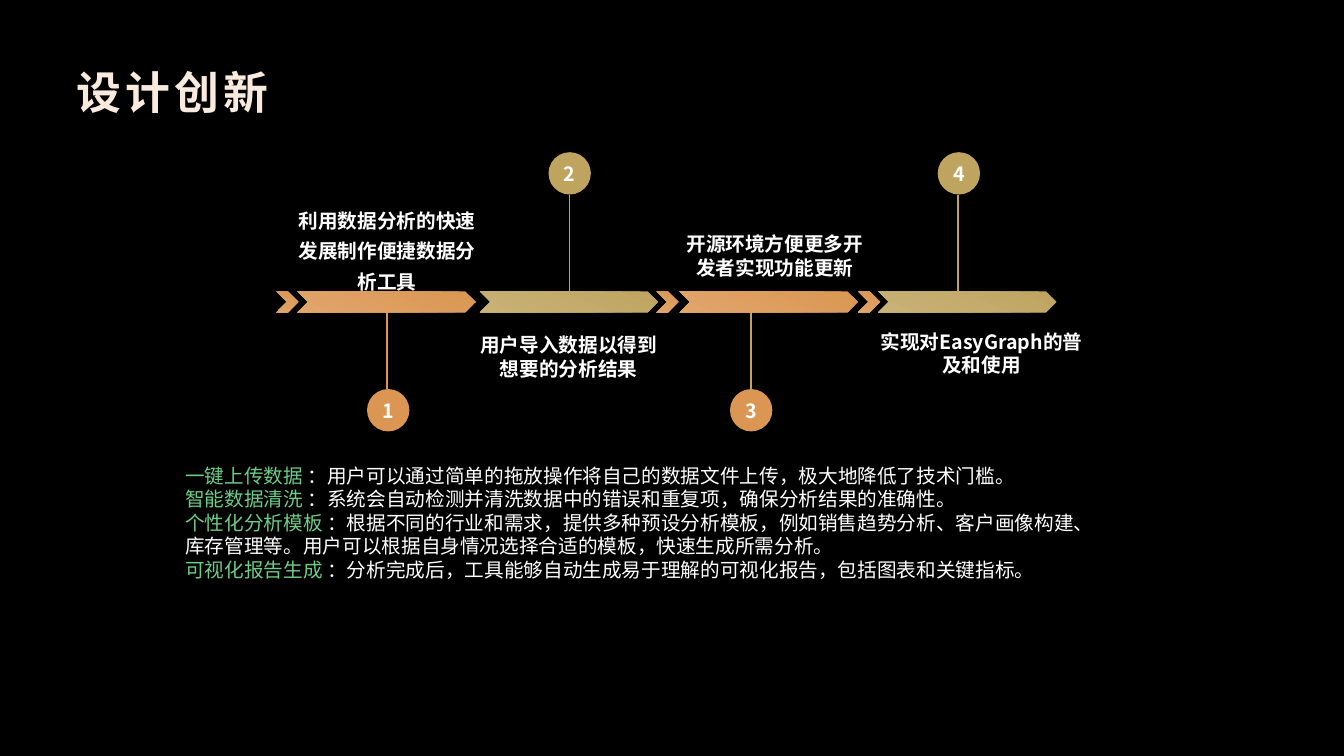
from lxml import etree
from pptx import Presentation
from pptx.dml.color import RGBColor
from pptx.enum.shapes import MSO_CONNECTOR, MSO_SHAPE
from pptx.enum.text import MSO_ANCHOR, PP_ALIGN
from pptx.oxml.ns import qn
from pptx.util import Inches, Pt

LINE = MSO_CONNECTOR.STRAIGHT
CHEVRON, OVAL = MSO_SHAPE.CHEVRON, MSO_SHAPE.OVAL
TOP, MIDDLE, BOTTOM = MSO_ANCHOR.TOP, MSO_ANCHOR.MIDDLE, MSO_ANCHOR.BOTTOM
LEFT, CENTER = PP_ALIGN.LEFT, PP_ALIGN.CENTER

FACE = "Noto Sans CJK SC"
ORANGE, GOLD = "DA9652", "BFA460"
WHITE, GREEN, CREAM = "FFFFFF", "6DCC88", "F8EADC"
FADE = {ORANGE: "E0A66C", GOLD: "C9B278"}
BAR_W, TIP_W, BAR_H, BAR_Y = 1.77, 0.22, 0.21, 2.89
DOT = 0.42

BARS = [(2.95, ORANGE), (4.76, GOLD), (6.74, ORANGE), (8.71, GOLD)]
TIPS = [2.74, 6.51, 8.51]
PINS = [
    ("1", 3.84, 3.64, 3.86, ORANGE, ORANGE),
    ("2", 5.65, 5.44, 1.51, GOLD, GOLD),
    ("3", 7.45, 7.24, 3.86, ORANGE, GOLD),
    ("4", 9.5, 9.3, 1.51, GOLD, GOLD),
]
LABELS = [
    ("利用数据分析的快速发展制作便捷数据分析工具", (2.95, 2, 1.78, 0.9), TOP, 1.3),
    ("用户导入数据以得到想要的分析结果", (4.7, 3.23, 1.88, 0.54), BOTTOM, 1),
    ("开源环境方便更多开发者实现功能更新", (6.74, 2.14, 1.89, 0.63), BOTTOM, 1),
    ("实现对EasyGraph的普及和使用", (8.73, 3.11, 2.01, 0.63), BOTTOM, 1),
]
NOTES = [
    ("一键上传数据 ", "：用户可以通过简单的拖放操作将自己的数据文件上传，极大地降低了技术门槛。"),
    ("智能数据清洗 ", "：系统会自动检测并清洗数据中的错误和重复项，确保分析结果的准确性。"),
    ("个性化分析模板 ", "：根据不同的行业和需求，提供多种预设分析模板，例如销售趋势分析、客户画像构建、"
     "库存管理等。用户可以根据自身情况选择合适的模板，快速生成所需分析。"),
    ("可视化报告生成 ", "：分析完成后，工具能够自动生成易于理解的可视化报告，包括图表和关键指标。"),
]


def tint(color, code):
    color.rgb = RGBColor.from_string(code)


def style(para, size, code, bold, align):
    para.alignment = align
    font = para.font
    font.name, font.size, font.bold = FACE, Pt(size), bold
    tint(font.color, code)
    props = para._p.pPr.find(qn("a:defRPr"))
    etree.SubElement(props, qn("a:ea"), typeface=FACE)
    return props


def frame(shape, anchor, pad=True):
    text = shape.text_frame
    text.word_wrap = True
    text.vertical_anchor = anchor
    if not pad:
        text.margin_left = text.margin_right = 0
        text.margin_top = text.margin_bottom = 0
    return text


def add_title(slide):
    title = slide.shapes.title
    title.left, title.top = Inches(0.76), Inches(0.39)
    title.width, title.height = Inches(11.81), Inches(0.79)
    text = frame(title, BOTTOM, False)
    text.text = "设计创新"
    para = text.paragraphs[0]
    style(para, 32, CREAM, True, LEFT).set("spc", "300")


def add_shape(slide, kind, box, code):
    shape = slide.shapes.add_shape(kind, *map(Inches, box))
    shape.shadow.inherit = False
    shape.line.fill.background()
    shape.fill.solid()
    tint(shape.fill.fore_color, code)
    return shape


def add_arrow(slide, x, width, code):
    fill = add_shape(slide, CHEVRON, (x, BAR_Y, width, BAR_H), code).fill
    fill.gradient()
    fill.gradient_angle = 247
    for stop, shade in zip(fill.gradient_stops, (code, FADE[code])):
        tint(stop.color, shade)


def add_stem(slide, x, y, code):
    start = BAR_Y + BAR_H / 2
    end = y if y > start else y + DOT
    stem = slide.shapes.add_connector(LINE, Inches(x), Inches(start), Inches(x), Inches(end))
    stem.line.width = Pt(1)
    tint(stem.line.color, code)
    etree.SubElement(stem._element.spPr, qn("a:effectLst"))


def add_dot(slide, digit, x, y, code):
    text = frame(add_shape(slide, OVAL, (x, y, DOT, DOT), code), MIDDLE)
    text.word_wrap = False
    text.text = digit
    style(text.paragraphs[0], 14, WHITE, True, CENTER)


def add_label(slide, words, box, anchor, space):
    text = frame(slide.shapes.add_textbox(*map(Inches, box)), anchor, False)
    text.text = words
    para = text.paragraphs[0]
    para.line_spacing = space
    style(para, 14, WHITE, True, CENTER)


def add_notes(slide):
    box = slide.shapes.add_textbox(*map(Inches, (1.74, 4.55, 9.23, 1.45)))
    text = frame(box, TOP)
    for i, (head, body) in enumerate(NOTES):
        para = text.add_paragraph() if i else text.paragraphs[0]
        style(para, 14, WHITE, False, LEFT)
        for words, code in ((head, GREEN), (body, WHITE)):
            run = para.add_run()
            run.text = words
            tint(run.font.color, code)


def main():
    deck = Presentation()
    deck.slide_width, deck.slide_height = Inches(13.33), Inches(7.5)
    slide = deck.slides.add_slide(deck.slide_layouts[5])
    back = slide.background.fill
    back.solid()
    tint(back.fore_color, "000000")
    add_title(slide)
    for digit, stem, x, y, code, line in PINS:
        add_stem(slide, stem, y, line)
        add_dot(slide, digit, x, y, code)
    for x, code in BARS:
        add_arrow(slide, x, BAR_W, code)
    for x in TIPS:
        add_arrow(slide, x, TIP_W, ORANGE)
    for label in LABELS:
        add_label(slide, *label)
    add_notes(slide)
    deck.save("out.pptx")


if __name__ == "__main__":
    main()
